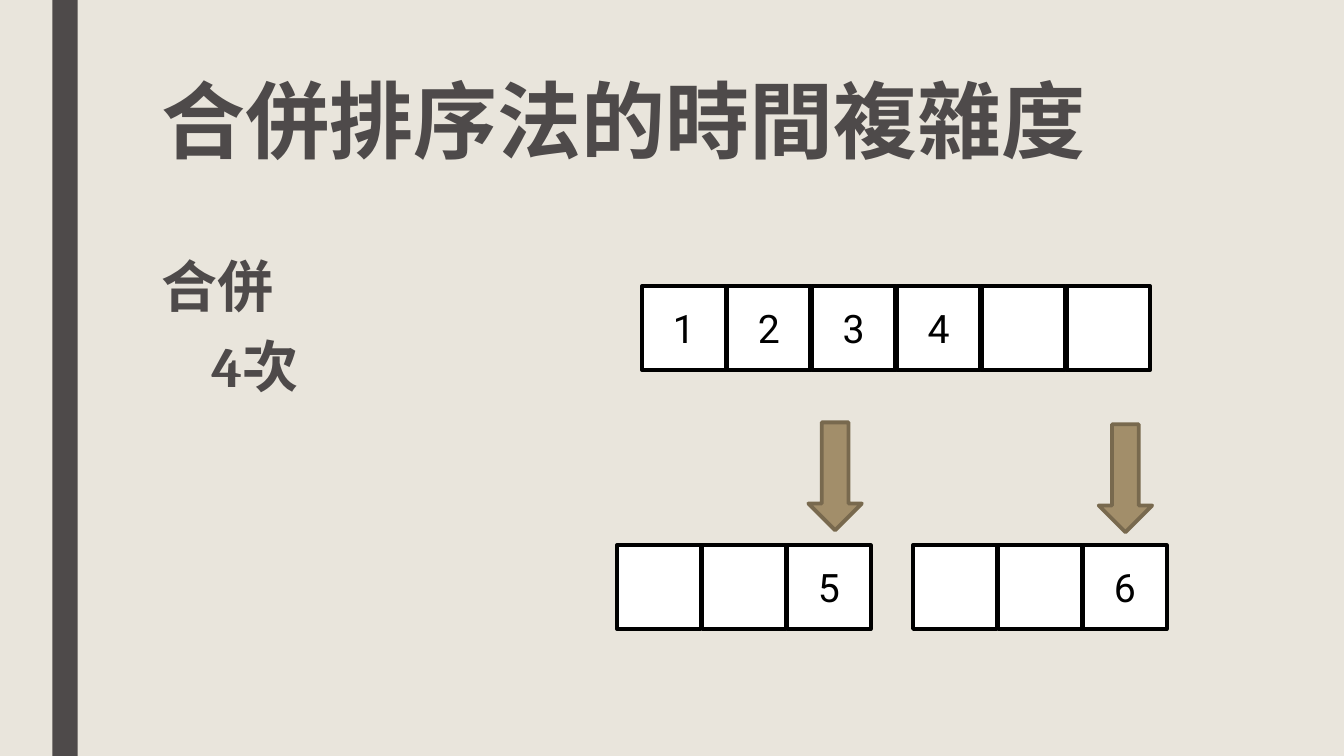
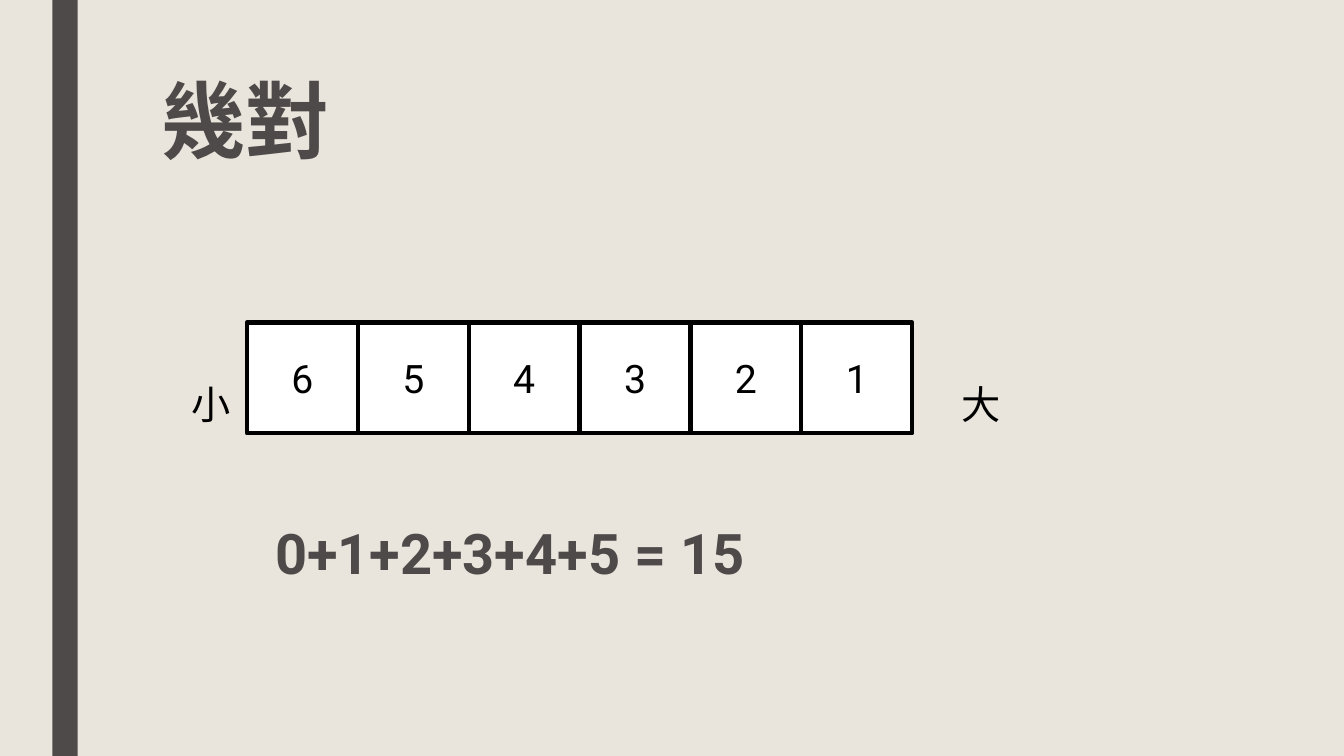
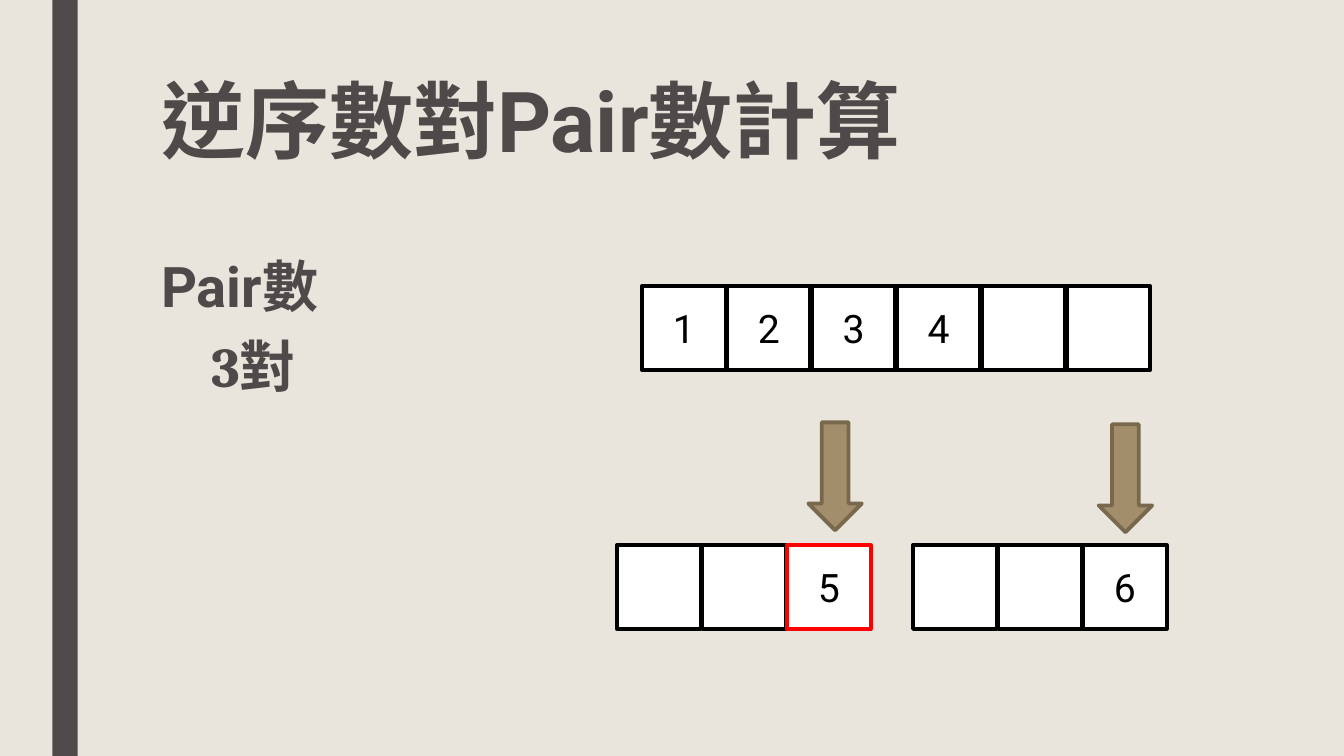
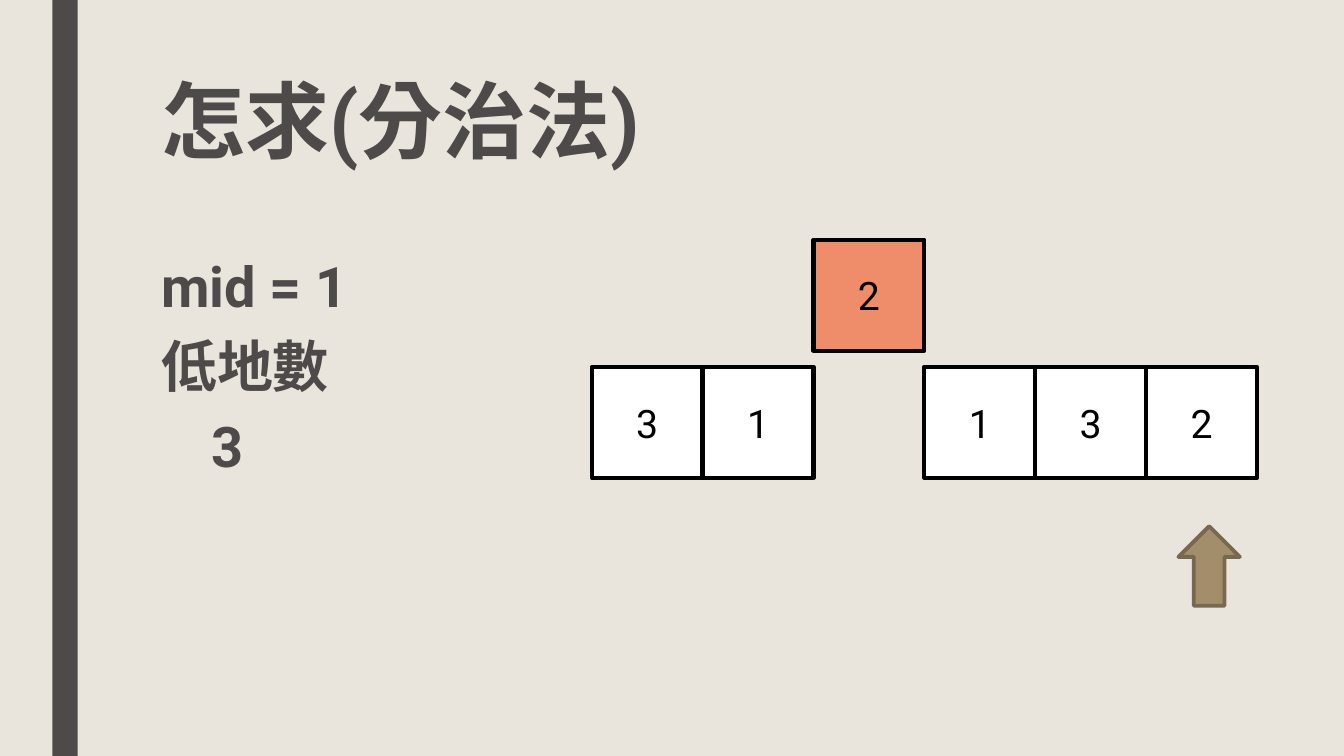
from pptx import Presentation
from pptx.dml.color import RGBColor
from pptx.enum.shapes import MSO_SHAPE
from pptx.enum.text import MSO_ANCHOR, MSO_AUTO_SIZE, PP_ALIGN
from pptx.oxml.ns import qn
from pptx.util import Inches, Pt
from lxml import etree

RECTANGLE = MSO_SHAPE.RECTANGLE
DOWN_ARROW = MSO_SHAPE.DOWN_ARROW
TOP, MIDDLE = MSO_ANCHOR.TOP, MSO_ANCHOR.MIDDLE
CENTER = PP_ALIGN.CENTER
FIT_SHAPE = MSO_AUTO_SIZE.SHAPE_TO_FIT_TEXT

COLUMNS, ROWS = 133.33, 75
SANS, SERIF = "Roboto", "Cambria"
PAPER, INK, BLACK, WHITE = "E9E5DC", "4E4A4A", "000000", "FFFFFF"
ARROW_FILL, ARROW_EDGE = "A28E6A", "78694E"
RED, ORANGE = "FF0000", "EF8C6A"
SMALL_CELL, SMALL_PITCH = 8.3, 8.42
LARGE_CELL = 11


def grid(*units):
    """Turn grid columns or rows, ten to the inch, into lengths."""
    return [Inches(unit / 10) for unit in units]


def color(value):
    """Turn a hex string into a colour."""
    return RGBColor.from_string(value)


def format_run(run, size, hex_color, bold=False, font=SANS):
    """Set the size, colour, weight and typeface of a run."""
    run.font.size = Pt(size)
    run.font.bold = bold
    run.font.color.rgb = color(hex_color)
    run.font.name = font
    properties = run._r.get_or_add_rPr()
    properties.set("lang", "zh-TW")
    etree.SubElement(properties, qn("a:ea")).set("typeface", SANS)


def add_block(slide, kind, box, fill, edge=None, width=3):
    """Add a preset shape with a plain fill and an optional outline."""
    shape = slide.shapes.add_shape(kind, *grid(*box))
    shape.shadow.inherit = False
    shape.fill.solid()
    shape.fill.fore_color.rgb = color(fill)
    if edge:
        shape.line.color.rgb = color(edge)
        shape.line.width = Pt(width)
    else:
        shape.line.fill.background()
    return shape


def add_cell(slide, left, top, size, text="", fill=WHITE, edge=BLACK):
    """Add one square of an array with its number in the middle."""
    shape = add_block(slide, RECTANGLE, (left, top, size, size), fill, edge)
    if text:
        shape.text_frame.text = text
        shape.text_frame.vertical_anchor = MIDDLE
        paragraph = shape.text_frame.paragraphs[0]
        paragraph.alignment = CENTER
        format_run(paragraph.runs[0], 28, BLACK)


def add_array(slide, left, top, size, pitch, values, edges=None):
    """Add a row of cells, with outline colours given by index."""
    edges = edges or {}
    for index, value in enumerate(values):
        add_cell(slide, left + index * pitch, top, size, value,
                 edge=edges.get(index, BLACK))


def add_arrow(slide, *box, rotation=0):
    """Add a block arrow that points down unless rotated."""
    shape = add_block(slide, DOWN_ARROW, box, ARROW_FILL, ARROW_EDGE, 2.75)
    shape.rotation = rotation


def add_lines(slide, box, lines, size, spacing):
    """Add a bold text box; each line is a list of (text, font) runs."""
    text_frame = slide.shapes.add_textbox(*grid(*box)).text_frame
    text_frame.word_wrap = True
    text_frame.vertical_anchor = TOP
    for index, line in enumerate(lines):
        paragraph = text_frame.add_paragraph() if index else text_frame.paragraphs[0]
        paragraph.line_spacing = spacing
        paragraph.space_before = Pt(10 if index else 0)
        paragraph.space_after = Pt(2)
        for text, font in line:
            run = paragraph.add_run()
            run.text = text
            format_run(run, size, INK, True, font)


def add_body(slide, lines):
    """Add the body text at the left margin."""
    add_lines(slide, (15, 25, 105, 39.2), lines, 40, 0.94)


def add_label(slide, box, text, size=28, hex_color=BLACK, bold=False):
    """Add a one-line label that does not wrap."""
    text_frame = slide.shapes.add_textbox(*grid(*box)).text_frame
    text_frame.word_wrap = False
    text_frame.auto_size = FIT_SHAPE
    text_frame.text = text
    format_run(text_frame.paragraphs[0].runs[0], size, hex_color, bold)


def add_slide(presentation, title):
    """Add a blank slide with the side band and the title."""
    slide = presentation.slides.add_slide(presentation.slide_layouts[6])
    add_block(slide, RECTANGLE, (5.2, 0, 2.5, ROWS), INK)
    add_lines(slide, (15, 7.5, 105, 16.2), [[(title, SANS)]], 60, 0.89)
    return slide


def add_merge_slide(presentation, title, lines, compared_edge=BLACK):
    """Add a merge step: two halves below and the merged array above."""
    slide = add_slide(presentation, title)
    add_body(slide, lines)
    add_arrow(slide, 80.2, 41.9, 5.3, 10.7)
    add_arrow(slide, 109, 42.1, 5.3, 10.7)
    for left, top, values, edges in (
        (61.24, 54.1, ["", "", "5"], {2: compared_edge}),
        (90.6, 54.1, ["", "", "6"], None),
        (63.7, 28.4, ["1", "2", "3", "4", "", ""], None),
    ):
        add_array(slide, left, top, SMALL_CELL, SMALL_PITCH, values, edges)


def add_pairs_slide(presentation):
    """Add the slide that counts pairs in a descending array."""
    slide = add_slide(presentation, "幾對")
    add_array(slide, 24.5, 32, LARGE_CELL, LARGE_CELL, "654321")
    add_label(slide, (18, 37.2, 5.9, 5.7), "小")
    add_label(slide, (94.4, 37.2, 5.9, 5.7), "大")
    add_label(slide, (26.3, 51, 50.9, 7.7), "0+1+2+3+4+5 = 15", 40, INK, True)


def add_divide_slide(presentation):
    """Add the slide that splits an array around its middle value."""
    slide = add_slide(presentation, "怎求(分治法)")
    left, top = 58.7, 36.4
    add_array(slide, left, top, LARGE_CELL, LARGE_CELL, "31")
    add_cell(slide, left + 2 * LARGE_CELL, 23.8, LARGE_CELL, "2", ORANGE)
    add_array(slide, left + 3 * LARGE_CELL, top, LARGE_CELL, LARGE_CELL, "132")
    add_body(slide, [[("mid = 1", SANS)], [("低地數", SANS)], [("\t3", SANS)]])
    add_arrow(slide, 116.9, 52.2, 6.1, 7.9, rotation=180)


def main():
    """Build and save the presentation."""
    presentation = Presentation()
    presentation.slide_width, presentation.slide_height = grid(COLUMNS, ROWS)
    background = presentation.slide_master.background.fill
    background.solid()
    background.fore_color.rgb = color(PAPER)
    add_merge_slide(presentation, "合併排序法的時間複雜度",
                    [[("合併", SANS)], [("\t", SANS), ("4", SERIF), ("次", SANS)]])
    add_pairs_slide(presentation)
    add_merge_slide(presentation, "逆序數對Pair數計算",
                    [[("Pair數", SANS)], [("\t", SANS), ("3對", SERIF)]], RED)
    add_divide_slide(presentation)
    presentation.save("out.pptx")


if __name__ == "__main__":
    main()
